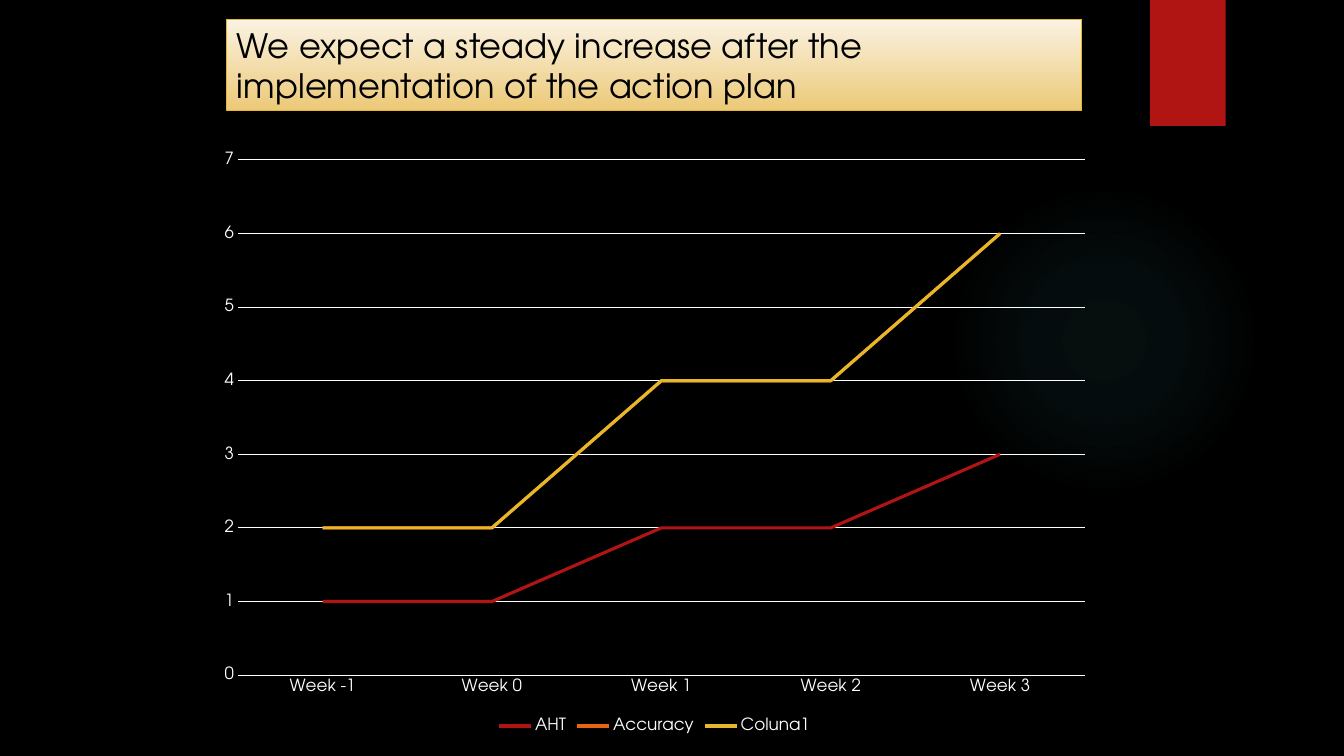
from lxml import etree
from pptx import Presentation
from pptx.chart.data import CategoryChartData
from pptx.dml.color import RGBColor
from pptx.enum.chart import (XL_CHART_TYPE as Kind, XL_LEGEND_POSITION as Place,
                             XL_TICK_MARK as Tick)
from pptx.enum.shapes import MSO_SHAPE as Form
from pptx.enum.text import MSO_ANCHOR as Anchor, PP_ALIGN as Align
from pptx.oxml import parse_xml
from pptx.oxml.ns import nsdecls, qn
from pptx.util import Pt

FACE = "TeX Gyre Adventor"
TITLE = "We expect a steady increase after the implementation of the action plan"
WEEKS = ["Week -1", "Week 0", "Week 1", "Week 2", "Week 3"]
SERIES = [
    ("AHT", [1, 1, 2, 2, 3], "B01513"),
    ("Accuracy", [1, 1, 2, 2, 3], "EA6312"),
    ("Coluna1", [None] * 5, "E6B729"),
]
# Left, top, width, height
GLOW = (677.5, 131.8, 221.8, 221.8)
TAB = (821.5, 0, 54, 90)
PLOT = (147.6, 100.1, 640.1, 427)
BANNER = (162, 13.7, 610.6, 65.5)
# Position %, colour, opacity %
GLOW_STOPS = [(0, "50B9C1", 7), (36, "50B9C1", 6), (69, "50B9C1", 0)]
BANNER_STOPS = [(0, "FAF2E3", 100), (100, "ECC977", 100)]
ROUND = ('<a:path path="circle"><a:fillToRect l="50000" t="50000" '
         'r="50000" b="50000"/></a:path>')
DOWN = '<a:lin ang="5400000" scaled="0"/>'


def color(code):
    return RGBColor.from_string(code)


def style(font, size, code):
    for key, val in {"name": FACE, "size": Pt(size), "bold": False}.items():
        setattr(font, key, val)
    font.color.rgb = color(code)


def stroke(line, code, width):
    line.color.rgb = color(code)
    line.width = Pt(width)


def add_shape(form, box):
    shape = slide.shapes.add_shape(form, *map(Pt, box))
    shape.shadow.inherit = False
    shape.line.fill.background()
    return shape


def blend(shape, stops, way):
    """Fill a shape with a gradient whose stops may be transparent."""
    marks = "".join(
        f'<a:gs pos="{pos * 1000}"><a:srgbClr val="{code}">'
        f'<a:alpha val="{alpha * 1000}"/></a:srgbClr></a:gs>'
        for pos, code, alpha in stops)
    fill = parse_xml(f'<a:gradFill {nsdecls("a")} rotWithShape="1">'
                     f'<a:gsLst>{marks}</a:gsLst>{way}</a:gradFill>')
    shape.element.spPr.find(qn("a:prstGeom")).addnext(fill)


def add_plot():
    data = CategoryChartData()
    data.categories = WEEKS
    for name, vals, _ in SERIES:
        data.add_series(name, vals)
    chart = slide.shapes.add_chart(Kind.LINE_STACKED, *map(Pt, PLOT), data).chart
    chart.has_title = False
    style(chart.font, 10, "FFFFFF")
    for item, (_, _, code) in zip(chart.plots[0].series, SERIES):
        item.smooth = False
        stroke(item.format.line, code, 2.25)

    weeks, scale = chart.category_axis, chart.value_axis
    for axis in (weeks, scale):
        axis.major_tick_mark = axis.minor_tick_mark = Tick.NONE
        style(axis.tick_labels.font, 12, "FFFFFF")
    stroke(weeks.format.line, "FFFFFF", 0.75)
    scale.format.line.fill.background()
    stroke(scale.major_gridlines.format.line, "FFFFFF", 0.75)
    for key, val in {"minimum_scale": 0, "maximum_scale": 7, "major_unit": 1}.items():
        setattr(scale, key, val)

    chart.has_legend = True
    chart.legend.position = Place.BOTTOM
    chart.legend.include_in_layout = False
    style(chart.legend.font, 12, "FFFFFF")

    # Empty values stack as zero
    root = chart.element.find(qn("c:chart"))
    blanks = root.find(qn("c:dispBlanksAs"))
    if blanks is None:
        blanks = etree.SubElement(root, qn("c:dispBlanksAs"))
    blanks.set("val", "zero")


def add_banner():
    shape = add_shape(Form.RECTANGLE, BANNER)
    blend(shape, BANNER_STOPS, DOWN)
    stroke(shape.line, "E6B729", 0.75)
    frame = shape.text_frame
    frame.word_wrap = True
    frame.vertical_anchor = Anchor.MIDDLE
    para = frame.paragraphs[0]
    para.alignment = Align.LEFT
    run = para.add_run()
    run.text = TITLE
    style(run.font, 24, "000000")


deck = Presentation()
deck.slide_width, deck.slide_height = Pt(960), Pt(540)
slide = deck.slides.add_slide(deck.slide_layouts[6])
back = slide.background.fill
back.solid()
back.fore_color.rgb = color("000000")

blend(add_shape(Form.OVAL, GLOW), GLOW_STOPS, ROUND)
tab = add_shape(Form.RECTANGLE, TAB)
tab.fill.solid()
tab.fill.fore_color.rgb = color("B01513")
add_plot()
add_banner()
deck.save("out.pptx")
